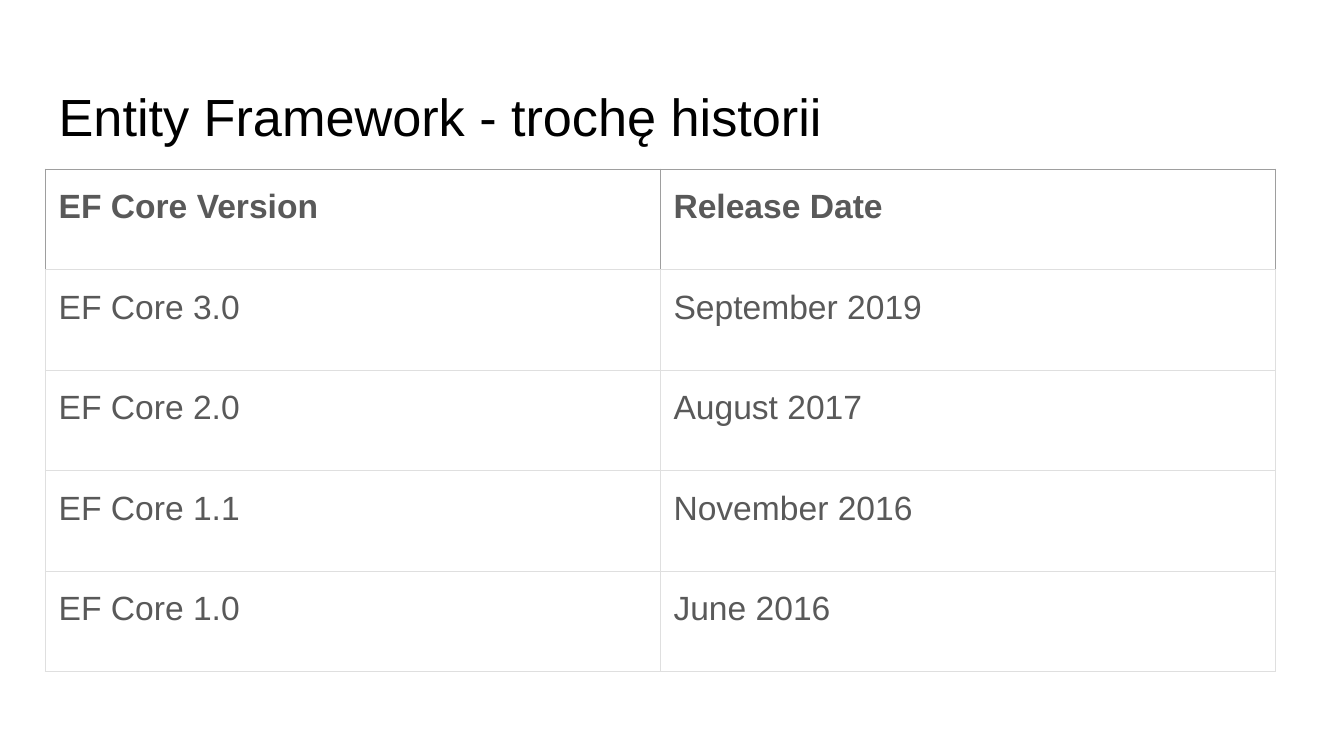
from lxml.etree import SubElement
from pptx import Presentation
from pptx.dml.color import RGBColor
from pptx.enum.text import MSO_ANCHOR, MSO_AUTO_SIZE, PP_ALIGN
from pptx.oxml.ns import qn
from pptx.util import Cm, Pt

RELEASES = [
    ("EF Core Version", "Release Date"),
    ("EF Core 3.0", "September 2019"),
    ("EF Core 2.0", "August 2017"),
    ("EF Core 1.1", "November 2016"),
    ("EF Core 1.0", "June 2016"),
]
INSET = Cm(0.25)
LEFT = Cm(0.86)
COLUMN_WIDTH = Cm(11.62)
ROW_HEIGHT = Cm(1.9)
HEADER_LINE = "9E9E9E"
BODY_LINE = "DFDFDF"


def colour(value):
    """Turn a hex string into a colour."""
    return RGBColor.from_string(value)


def write_text(frame, text, *, size, color, bold=False,
               align=PP_ALIGN.LEFT, spacing=1.0):
    """Fill a text frame with one formatted paragraph."""
    para = frame.paragraphs[0]
    para.alignment = align
    para.line_spacing = spacing
    span = para.add_run()
    span.text = text
    span.font.name = "Arial"
    span.font.size = Pt(size)
    span.font.bold = bold
    span.font.color.rgb = colour(color)


def set_borders(cell, **colors):
    """Draw the cell's sides in the given colours."""
    properties = cell._tc.get_or_add_tcPr()
    for side in ("L", "R", "T", "B"):
        line = SubElement(properties, qn(f"a:ln{side}"), w=str(Pt(0.75)))
        fill = SubElement(line, qn("a:solidFill"))
        SubElement(fill, qn("a:srgbClr"), val=colors[side])


def add_title(page, text):
    """Place and format the title placeholder."""
    box = page.shapes.title
    box.left, box.top, box.width, box.height = LEFT, Cm(1.24), Cm(23.67), Cm(1.6)
    frame = box.text_frame
    frame.word_wrap = True
    frame.auto_size = MSO_AUTO_SIZE.NONE
    frame.vertical_anchor = MSO_ANCHOR.TOP
    frame.margin_left = frame.margin_right = INSET
    frame.margin_top, frame.margin_bottom = Cm(0.35), Cm(0)
    write_text(frame, text, size=28, color="000000")


def add_release_table(page, releases):
    """Add the table of versions and dates with a bold header row."""
    columns = len(releases[0])
    table = page.shapes.add_table(
        len(releases), columns, LEFT, Cm(3.2),
        COLUMN_WIDTH * columns, ROW_HEIGHT * len(releases)).table
    table.first_row = table.horz_banding = False
    for column in table.columns:
        column.width = COLUMN_WIDTH
    for row_index, release in enumerate(releases):
        table.rows[row_index].height = ROW_HEIGHT
        header = row_index == 0
        line = HEADER_LINE if header else BODY_LINE
        for column_index, text in enumerate(release):
            cell = table.cell(row_index, column_index)
            cell.margin_left = cell.margin_right = INSET
            cell.margin_top = cell.margin_bottom = INSET
            set_borders(cell, L=line, R=line, T=line, B=BODY_LINE)
            cell.fill.background()
            write_text(cell.text_frame, text, size=18, color="595959",
                       bold=header, align=PP_ALIGN.JUSTIFY, spacing=1.15)


def main():
    """Build the slide and save it."""
    deck = Presentation()
    deck.slide_width, deck.slide_height = Cm(25.4), Cm(14.29)
    page = deck.slides.add_slide(deck.slide_layouts.get_by_name("Title Only"))
    add_title(page, "Entity Framework - trochę historii")
    add_release_table(page, RELEASES)
    deck.save("out.pptx")


main()
